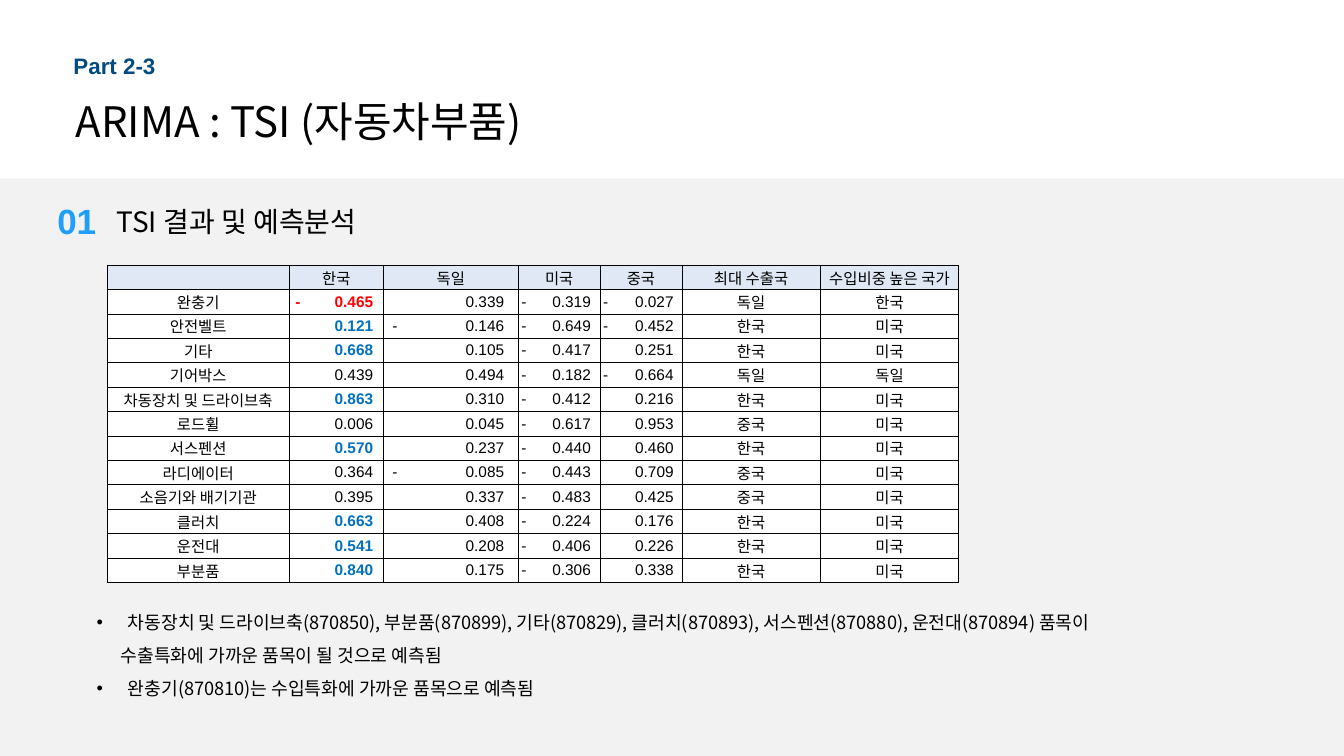
from lxml import etree
from pptx import Presentation, util as u
from pptx.dml.color import RGBColor
from pptx.enum import shapes, text
from pptx.oxml.ns import qn

BLACK = RGBColor(0x00, 0x00, 0x00)
WHITE = RGBColor(0xFF, 0xFF, 0xFF)
NAVY = RGBColor(0x02, 0x4B, 0x80)
SKY = RGBColor(0x1F, 0x9F, 0xFB)
RED = RGBColor(0xFF, 0x00, 0x00)
BLUE = RGBColor(0x00, 0x70, 0xC0)
BAND_GREY = RGBColor(0xF2, 0xF2, 0xF2)
HEADER_BLUE = RGBColor(0xDF, 0xE8, 0xF4)
SANS, KOREAN = "Arial", "Noto Sans CJK KR"

presentation = Presentation()
presentation.slide_width = u.Inches(13.333)
presentation.slide_height = u.Inches(7.5)
slide = presentation.slides.add_slide(presentation.slide_layouts[6])
X = presentation.slide_width / 100  # one percent of the slide's width
Y = presentation.slide_height / 100  # one percent of the slide's height


def style(paragraph, size, font, color, bold=False):
    for run in paragraph.runs:
        run.font.size, run.font.name = u.Pt(size), font
        run.font.color.rgb, run.font.bold = color, bold
        east_asian = etree.Element(qn("a:ea"), typeface=KOREAN)
        run.font._element.find(qn("a:latin")).addnext(east_asian)


def add_text(place, lines, size, font, color, bold=False):
    left, top, width, height = place
    box = slide.shapes.add_textbox(int(left * X), int(top * Y), int(width * X), int(height * Y))
    box.text_frame.word_wrap = True
    box.text_frame.text = lines
    for paragraph in box.text_frame.paragraphs:
        style(paragraph, size, font, color, bold)
    return box


# Grey band behind the content
band = slide.shapes.add_shape(shapes.MSO_SHAPE.RECTANGLE, 0, int(23.6 * Y), int(100 * X), int(76.4 * Y))
band.shadow.inherit = False
band.fill.solid()
band.fill.fore_color.rgb = BAND_GREY
band.line.fill.background()

# Headings
add_text((4.73, 6.27, 8.33, 4.93), "Part 2-3", 16, SANS, NAVY, True)
add_text((4.88, 12, 49.58, 8.13), "ARIMA : TSI (자동차부품)", 30, KOREAN, BLACK)
add_text((3.53, 25.73, 5.33, 7.2), "01", 25, SANS, SKY, True)
add_text((7.95, 26.4, 37.2, 5.87), "TSI 결과 및 예측분석", 20, KOREAN, BLACK)

# Table of TSI values
HEADERS = ["", "한국", "독일", "미국", "중국", "최대 수출국", "수입비중 높은 국가"]
ROWS = [
    ("완충기", -0.465, 0.339, -0.319, -0.027, "독일", "한국"),
    ("안전벨트", 0.121, -0.146, -0.649, -0.452, "한국", "미국"),
    ("기타", 0.668, 0.105, -0.417, 0.251, "한국", "미국"),
    ("기어박스", 0.439, 0.494, -0.182, -0.664, "독일", "독일"),
    ("차동장치 및 드라이브축", 0.863, 0.310, -0.412, 0.216, "한국", "미국"),
    ("로드휠", 0.006, 0.045, -0.617, 0.953, "중국", "미국"),
    ("서스펜션", 0.570, 0.237, -0.440, 0.460, "한국", "미국"),
    ("라디에이터", 0.364, -0.085, -0.443, 0.709, "중국", "미국"),
    ("소음기와 배기기관", 0.395, 0.337, -0.483, 0.425, "중국", "미국"),
    ("클러치", 0.663, 0.408, -0.224, 0.176, "한국", "미국"),
    ("운전대", 0.541, 0.208, -0.406, 0.226, "한국", "미국"),
    ("부분품", 0.840, 0.175, -0.306, 0.338, "한국", "미국"),
]
COLUMN_SHARES = [13.55, 7, 10.05, 6.08, 6.08, 10.32, 10.27]
MINUS_INSETS = {1: 0.45, 2: 0.68, 3: 0.23, 4: 0.23}
DIGIT_INSETS = {1: 0.75, 2: 1.05, 3: 0.68, 4: 0.6}

frame = slide.shapes.add_table(len(ROWS) + 1, len(HEADERS), int(7.98 * X), int(35.07 * Y),
                               int(sum(COLUMN_SHARES) * X), int(42 * Y))
table = frame.table
for column, share in zip(table.columns, COLUMN_SHARES):
    column.width = int(share * X)
for row in table.rows:
    row.height = int(42 * Y / len(table.rows))

for row_index, values in enumerate([HEADERS] + ROWS):
    for column_index, value in enumerate(values):
        cell = table.cell(row_index, column_index)
        cell.margin_left = cell.margin_right = cell.margin_top = cell.margin_bottom = 0
        cell.vertical_anchor = text.MSO_ANCHOR.MIDDLE
        cell.fill.solid()
        cell.fill.fore_color.rgb = WHITE if row_index else HEADER_BLUE
        paragraph = cell.text_frame.paragraphs[0]
        paragraph.alignment = text.PP_ALIGN.CENTER
        color = BLACK
        if isinstance(value, float):
            digits = f"{abs(value):.3f}"
            digit_inset = DIGIT_INSETS[column_index]
            if value < 0:
                # Minus sign at the left edge, digits on a right tab
                minus_inset = MINUS_INSETS[column_index]
                cell.margin_left = int(minus_inset * X)
                paragraph.alignment = text.PP_ALIGN.LEFT
                tab = int((COLUMN_SHARES[column_index] - minus_inset - digit_inset) * X)
                tabs = etree.SubElement(paragraph._p.get_or_add_pPr(), qn("a:tabLst"))
                etree.SubElement(tabs, qn("a:tab"), pos=str(tab), algn="r")
                paragraph.text = "-\t" + digits
            else:
                cell.margin_right = int(digit_inset * X)
                paragraph.alignment = text.PP_ALIGN.RIGHT
                paragraph.text = digits
            if column_index == 1:
                # Korea: import-leaning in red, top exporter in blue
                color = RED if value < 0 else BLUE if values[5] == "한국" else BLACK
        else:
            paragraph.text = value
        style(paragraph, 11, KOREAN if value == "최대 수출국" else SANS, color, color != BLACK)
        if not value:
            etree.SubElement(paragraph._p, qn("a:endParaRPr"), sz="1100")
        # Thin black borders go before the fill
        properties = cell._tc.get_or_add_tcPr()
        for position, side in enumerate(("lnL", "lnR", "lnT", "lnB")):
            line = etree.Element(qn("a:" + side), w=str(u.Pt(0.5)))
            fill = etree.SubElement(line, qn("a:solidFill"))
            etree.SubElement(fill, qn("a:srgbClr"), val=str(BLACK))
            properties.insert(position, line)

# Findings
FINDINGS = [
    ("차동장치 및 드라이브축(870850), 부분품(870899), 기타(870829), 클러치(870893), "
     "서스펜션(870880), 운전대(870894) 품목이", True),
    ("수출특화에 가까운 품목이 될 것으로 예측됨", False),
    ("완충기(870810)는 수입특화에 가까운 품목으로 예측됨", True),
]
findings = add_text((6.45, 78.8, 87.15, 18.27), "\n".join(line for line, _ in FINDINGS), 13, KOREAN, BLACK)
for paragraph, (_, bulleted) in zip(findings.text_frame.paragraphs, FINDINGS):
    paragraph.line_spacing = 1.5
    properties = paragraph._p.get_or_add_pPr()
    indent = int((2.34 if bulleted else 1.8) * X)
    properties.set("marL", str(indent))
    if bulleted:
        properties.set("indent", str(-indent))
        etree.SubElement(properties, qn("a:buFont"), typeface=SANS)
        etree.SubElement(properties, qn("a:buChar"), char="•")

presentation.save("out.pptx")
